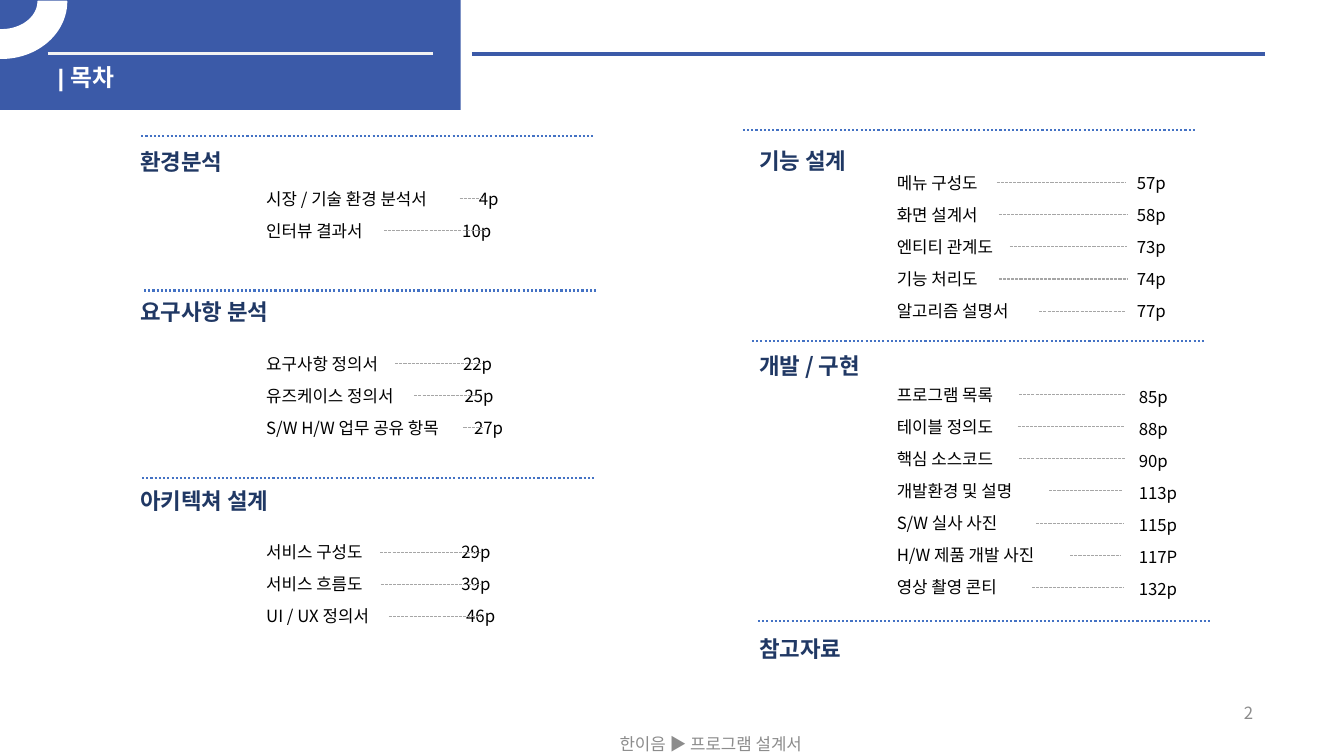
from lxml import etree
from pptx import Presentation
from pptx.dml.color import RGBColor
from pptx.enum.dml import MSO_LINE
from pptx.enum.shapes import MSO_CONNECTOR, MSO_SHAPE
from pptx.enum.text import MSO_ANCHOR, PP_ALIGN
from pptx.oxml.ns import qn
from pptx.util import Cm, Pt

COLORS = {
    "band": "3B5AA8", "white": "FFFFFF", "rule": "F2F2F2", "dots": "4472C4",
    "leader": "A6A6A6", "heading": "203864", "body": "000000", "footer": "8C8C8C",
}
FONT = "Noto Sans CJK KR"
ROW_PITCH = 0.81
DIVIDER_WIDTH = 11.44


def add_text(lines, x, y, w, h, sp=None, size=12, color="body", bold=False, font=FONT,
             align=PP_ALIGN.LEFT, anchor=MSO_ANCHOR.TOP, tabs=()):
    """Write lines as paragraphs into sp, or into a new text box; tabs holds one stop per line."""
    sp = sp or s.shapes.add_textbox(0, 0, 0, 0)
    sp.left, sp.top, sp.width, sp.height = Cm(x), Cm(y), Cm(w), Cm(h)
    tf = sp.text_frame
    tf.word_wrap = True
    tf.vertical_anchor = anchor
    for i, line in enumerate(lines):
        p = tf.add_paragraph() if i else tf.paragraphs[0]
        p.alignment = align
        if i:
            p.space_before = Pt(8.5)  # with a 12 pt line this gives ROW_PITCH
        if tabs:
            stops = etree.SubElement(p._p.get_or_add_pPr(), qn("a:tabLst"))
            etree.SubElement(stops, qn("a:tab"), pos=str(Cm(tabs[i])), algn="l")
        r = p.add_run()
        r.text = line
        r.font.size = Pt(size)
        r.font.bold = bold
        r.font.color.rgb = RGBColor.from_string(COLORS[color])
        r.font.name = font
        etree.SubElement(r._r.get_or_add_rPr(), qn("a:ea"), typeface=FONT)


def add_line(x1, x2, y, color, width, dash=None):
    line = s.shapes.add_connector(MSO_CONNECTOR.STRAIGHT, Cm(x1), Cm(y), Cm(x2), Cm(y))
    line.line.color.rgb = RGBColor.from_string(COLORS[color])
    line.line.width = Pt(width)
    if dash:
        line.line.dash_style = dash
    etree.SubElement(line._element.spPr, qn("a:effectLst"))


prs = Presentation()
prs.slide_width, prs.slide_height = Cm(33.87), Cm(19.05)
s = prs.slides.add_slide(prs.slide_layouts[5])

# Header band
add_line(11.89, 31.88, 1.36, "band", 2.25)
band = s.shapes.add_shape(MSO_SHAPE.RECTANGLE, 0, 0, Cm(11.61), Cm(2.77))
band.fill.solid()
band.fill.fore_color.rgb = RGBColor.from_string(COLORS["band"])
band.line.fill.background()
band.shadow.inherit = False
add_line(1.2, 10.92, 1.35, "rule", 2.25)

arc = s.shapes.add_shape(MSO_SHAPE.BLOCK_ARC, Cm(-1.6), Cm(-1.4), Cm(3.28), Cm(2.87))
for i, value in enumerate((96.95, 0, 0.25)):
    arc.adjustments[i] = value
arc._element.spPr.find(qn("a:xfrm")).set("flipV", "1")
arc.fill.solid()
arc.fill.fore_color.rgb = RGBColor.from_string(COLORS["white"])
arc.line.color.rgb = RGBColor.from_string(COLORS["white"])
arc.line.width = Pt(1)
arc.shadow.inherit = False

title = s.shapes.title
s.shapes._spTree.append(title._element)  # in front of the band
add_text(["| 목차"], 1.2, 1.45, 8.2, 1, sp=title, size=17, color="white",
         bold=True, font="Arial")

# Section headings: text, left, top, divider left, divider top
headings = [
    ("환경분석", 3.28, 3.61, 3.56, 3.43),
    ("요구사항 분석", 3.28, 7.39, 3.63, 7.32),
    ("아키텍쳐 설계", 3.28, 12.14, 3.58, 12.04),
    ("기능 설계", 18.88, 3.58, 18.72, 3.28),
    ("개발 / 구현", 18.88, 8.74, 18.95, 8.59),
    ("참고자료", 18.88, 15.88, 19.1, 15.65),
]
for text, x, y, divider_x, divider_y in headings:
    add_line(divider_x, divider_x + DIVIDER_WIDTH, divider_y, "dots", 1.5,
             MSO_LINE.ROUND_DOT)
    add_text([text], x, y, 8, 1, size=16, color="heading", bold=True)

# Left column: top, then label, page, leader start, leader end, tab stop of the page
left_lists = [
    (4.62, [("시장 / 기술 환경 분석서", "4p", 11.58, 12.17, 5.36),
            ("인터뷰 결과서", "10p", 9.68, 12.24, 4.94)]),
    (8.78, [("요구사항 정의서", "22p", 9.96, 12.17, 4.96),
            ("유즈케이스 정의서", "25p", 10.44, 12.09, 5.0),
            ("S/W H/W 업무 공유 항목", "27p", 11.68, 12.17, 5.24)]),
    (13.53, [("서비스 구성도", "29p", 9.58, 12.17, 4.92),
             ("서비스 흐름도", "39p", 9.6, 12.14, 4.92),
             ("UI / UX 정의서", "46p", 9.8, 12.09, 5.04)]),
]
# Right column: top, page left and top, then label, page, leader start, leader end
right_lists = [
    (4.22, 28.4, 4.22, [("메뉴 구성도", "57p", 25.12, 28.35),
                        ("화면 설계서", "58p", 25.17, 28.4),
                        ("엔티티 관계도", "73p", 25.45, 28.4),
                        ("기능 처리도", "74p", 25.17, 28.4),
                        ("알고리즘 설명서", "77p", 26.19, 28.37)]),
    (9.56, 28.45, 9.62, [("프로그램 목록", "85p", 25.68, 28.35),
                         ("테이블 정의도", "88p", 25.65, 28.35),
                         ("핵심 소스코드", "90p", 25.68, 28.35),
                         ("개발환경 및 설명", "113p", 26.44, 28.27),
                         ("S/W 실사 사진", "115p", 26.11, 28.32),
                         ("H/W 제품 개발 사진", "117P", 26.97, 28.22),
                         ("영상 촬영 콘티", "132p", 26.01, 28.32)]),
]
for top, rows in left_lists:
    add_text([f"{row[0]}\t{row[1]}" for row in rows], 6.46, top, 8.6,
             len(rows) * ROW_PITCH, tabs=[row[4] for row in rows])
for top, page_x, page_top, rows in right_lists:
    height = len(rows) * ROW_PITCH
    add_text([row[0] for row in rows], 22.35, top, 5.3, height)
    add_text([row[1] for row in rows], page_x, page_top, 2.08, height)
for top, *_, rows in left_lists + right_lists:
    for i, row in enumerate(rows):
        add_line(row[2], row[3], top + 0.38 + i * ROW_PITCH, "leader", 0.75,
                 MSO_LINE.SQUARE_DOT)

# Footer
add_text(["한이음 ▶ 프로그램 설계서"], 13.89, 18.24, 8.05, 1.02, color="footer",
         align=PP_ALIGN.CENTER, anchor=MSO_ANCHOR.MIDDLE)
add_text(["2"], 24.21, 17.45, 7.62, 1.02, color="footer",
         align=PP_ALIGN.RIGHT, anchor=MSO_ANCHOR.MIDDLE)

prs.save("out.pptx")
